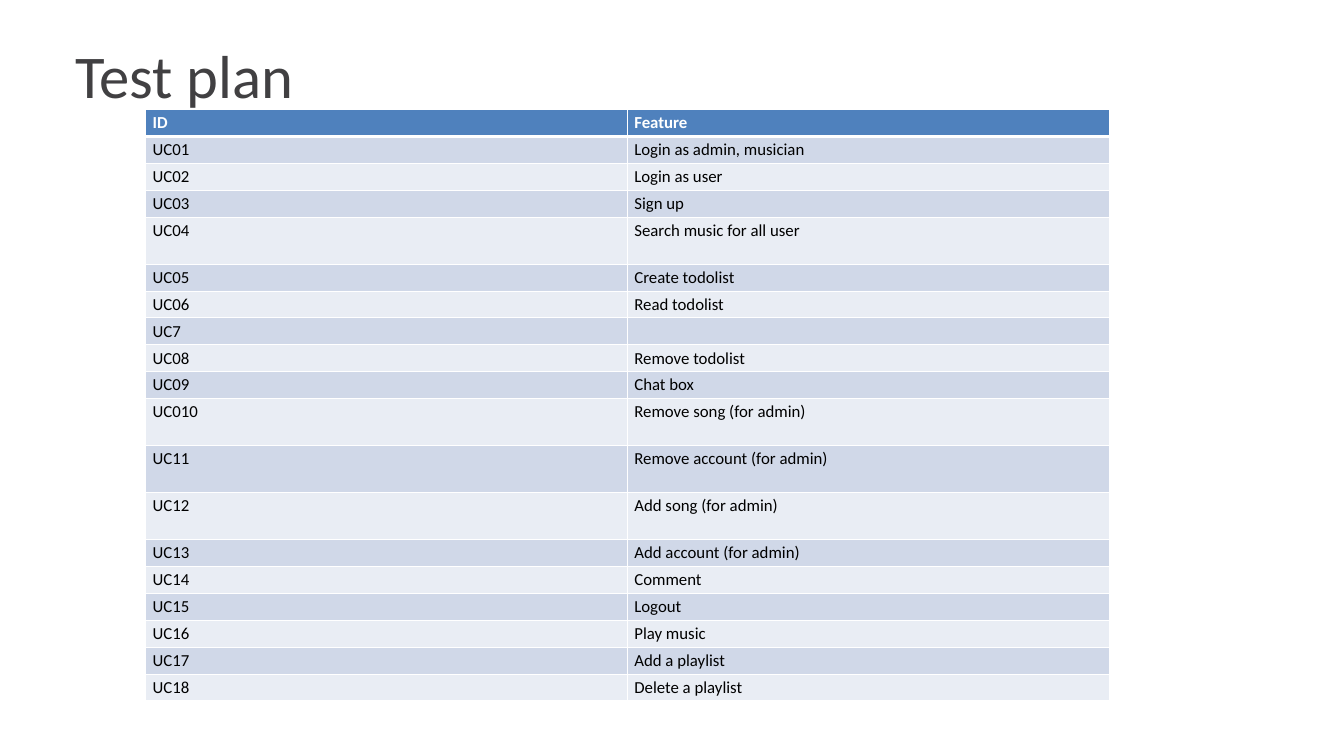
from dataclasses import dataclass

import lxml.etree
import pptx
import pptx.dml.color
import pptx.enum.text
import pptx.oxml.ns
import pptx.util

SLIDE_WIDTH = 20
SLIDE_HEIGHT = 11.25
TABLE_LEFT = 2.17
TABLE_TOP = 1.63
COLUMN_WIDTH = 7.17
ROW_HEIGHT = 0.4
TALL_ROW_HEIGHT = 0.7
FONT_NAME = "Calibri"
BAND_COLORS = ("D0D8E8", "E9EDF4")


@dataclass(frozen=True)
class TestCase:
    identifier: str
    feature: str
    height: float = ROW_HEIGHT


@dataclass(frozen=True)
class RowStyle:
    fill: str
    text: str
    bold: bool
    bottom_border: float


HEADER = TestCase("ID", "Feature")
HEADER_STYLE = RowStyle("4F81BD", "FFFFFF", True, 3)
TEST_CASES = (
    TestCase("UC01", "Login as admin, musician"),
    TestCase("UC02", "Login as user"),
    TestCase("UC03", "Sign up"),
    TestCase("UC04", "Search music for all user", TALL_ROW_HEIGHT),
    TestCase("UC05", "Create todolist"),
    TestCase("UC06", "Read todolist"),
    TestCase("UC7", ""),
    TestCase("UC08", "Remove todolist"),
    TestCase("UC09", "Chat box"),
    TestCase("UC010", "Remove song (for admin)", TALL_ROW_HEIGHT),
    TestCase("UC11", "Remove account (for admin)", TALL_ROW_HEIGHT),
    TestCase("UC12", "Add song (for admin)", TALL_ROW_HEIGHT),
    TestCase("UC13", "Add account (for admin)"),
    TestCase("UC14", "Comment"),
    TestCase("UC15", "Logout"),
    TestCase("UC16", "Play music"),
    TestCase("UC17", "Add a playlist"),
    TestCase("UC18", "Delete a playlist"),
)


def color(value: str) -> pptx.dml.color.RGBColor:
    return pptx.dml.color.RGBColor.from_string(value)


def format_font(paragraph, size: float, text_color: str, bold: bool = False) -> None:
    font = paragraph.font
    font.name = FONT_NAME
    font.size = pptx.util.Pt(size)
    font.bold = bold
    font.color.rgb = color(text_color)


def add_borders(cell, widths: dict[str, float]) -> None:
    properties = cell._tc.get_or_add_tcPr()
    qualified = pptx.oxml.ns.qn
    for position, (side, width) in enumerate(widths.items()):
        line = lxml.etree.Element(qualified(f"a:ln{side}"), w=str(pptx.util.Pt(width)))
        fill = lxml.etree.SubElement(line, qualified("a:solidFill"))
        lxml.etree.SubElement(fill, qualified("a:srgbClr"), val="FFFFFF")
        properties.insert(position, line)


def fill_cell(cell, text: str, style: RowStyle, top_border: float) -> None:
    cell.margin_top = pptx.util.Inches(0.05)
    cell.margin_bottom = pptx.util.Inches(0.04)
    cell.fill.solid()
    cell.fill.fore_color.rgb = color(style.fill)
    add_borders(cell, {"L": 1, "R": 1, "T": top_border, "B": style.bottom_border})
    cell.text = text
    format_font(cell.text_frame.paragraphs[0], 18, style.text, style.bold)


def add_title(slide, text: str) -> None:
    title = slide.shapes.title
    title.left, title.top, title.width, title.height = map(
        pptx.util.Inches, (1.12, 0.57, 8.88, 1.09)
    )
    frame = title.text_frame
    frame.text = text
    frame.margin_left = frame.margin_right = frame.margin_top = frame.margin_bottom = 0
    frame.word_wrap = True
    frame.auto_size = pptx.enum.text.MSO_AUTO_SIZE.SHAPE_TO_FIT_TEXT
    frame.vertical_anchor = pptx.enum.text.MSO_ANCHOR.TOP
    paragraph = frame.paragraphs[0]
    paragraph.alignment = pptx.enum.text.PP_ALIGN.LEFT
    paragraph.line_spacing = pptx.util.Pt(78)
    format_font(paragraph, 65, "414042")


def add_test_table(slide) -> None:
    cases = (HEADER, *TEST_CASES)
    table = slide.shapes.add_table(
        len(cases), 2,
        pptx.util.Inches(TABLE_LEFT), pptx.util.Inches(TABLE_TOP),
        pptx.util.Inches(2 * COLUMN_WIDTH),
        pptx.util.Inches(sum(case.height for case in cases)),
    ).table
    for column in table.columns:
        column.width = pptx.util.Inches(COLUMN_WIDTH)
    top_border = 1
    for index, (row, case) in enumerate(zip(table.rows, cases)):
        row.height = pptx.util.Inches(case.height)
        band = RowStyle(BAND_COLORS[(index - 1) % 2], "000000", False, 1)
        style = HEADER_STYLE if index == 0 else band
        for cell, text in zip(row.cells, (case.identifier, case.feature)):
            fill_cell(cell, text, style, top_border)
        top_border = style.bottom_border


def main() -> None:
    presentation = pptx.Presentation()
    presentation.slide_width = pptx.util.Inches(SLIDE_WIDTH)
    presentation.slide_height = pptx.util.Inches(SLIDE_HEIGHT)
    slide = presentation.slides.add_slide(presentation.slide_layouts.get_by_name("Title Only"))
    add_title(slide, "Test plan")
    add_test_table(slide)
    presentation.save("out.pptx")


if __name__ == "__main__":
    main()
